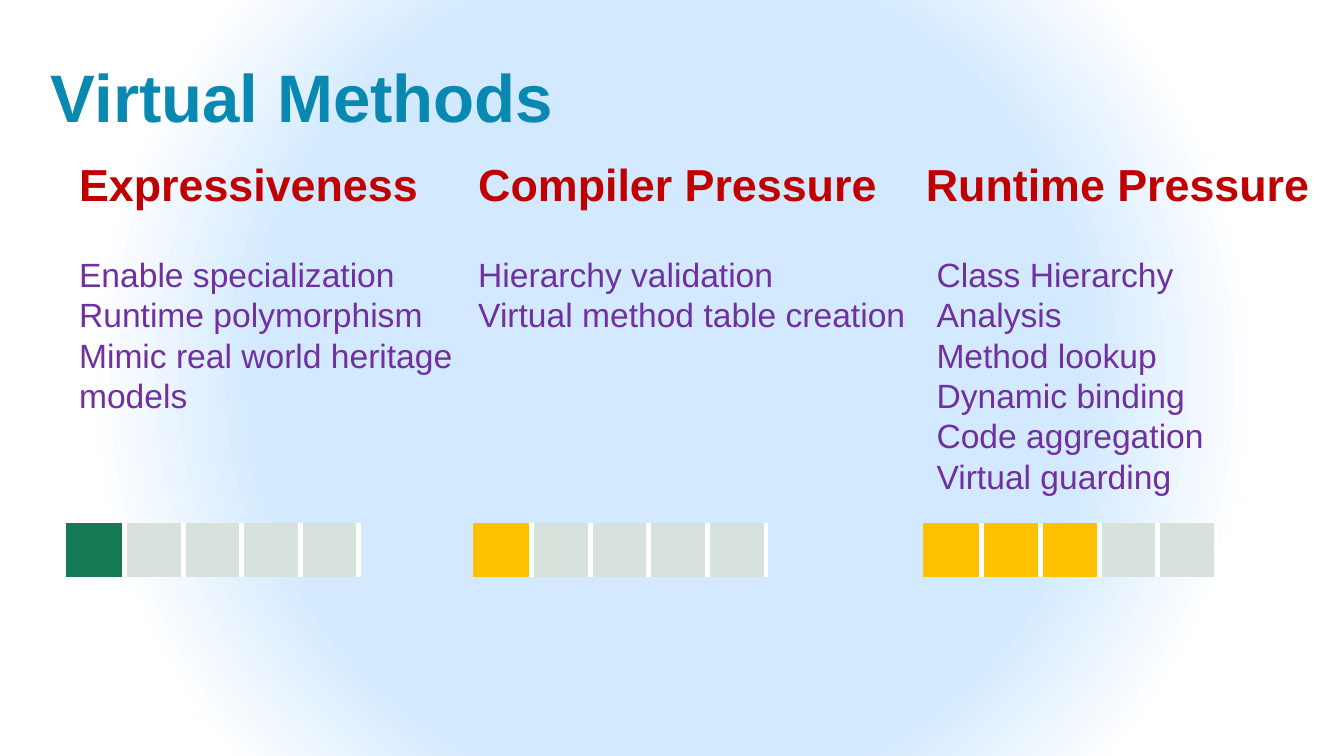
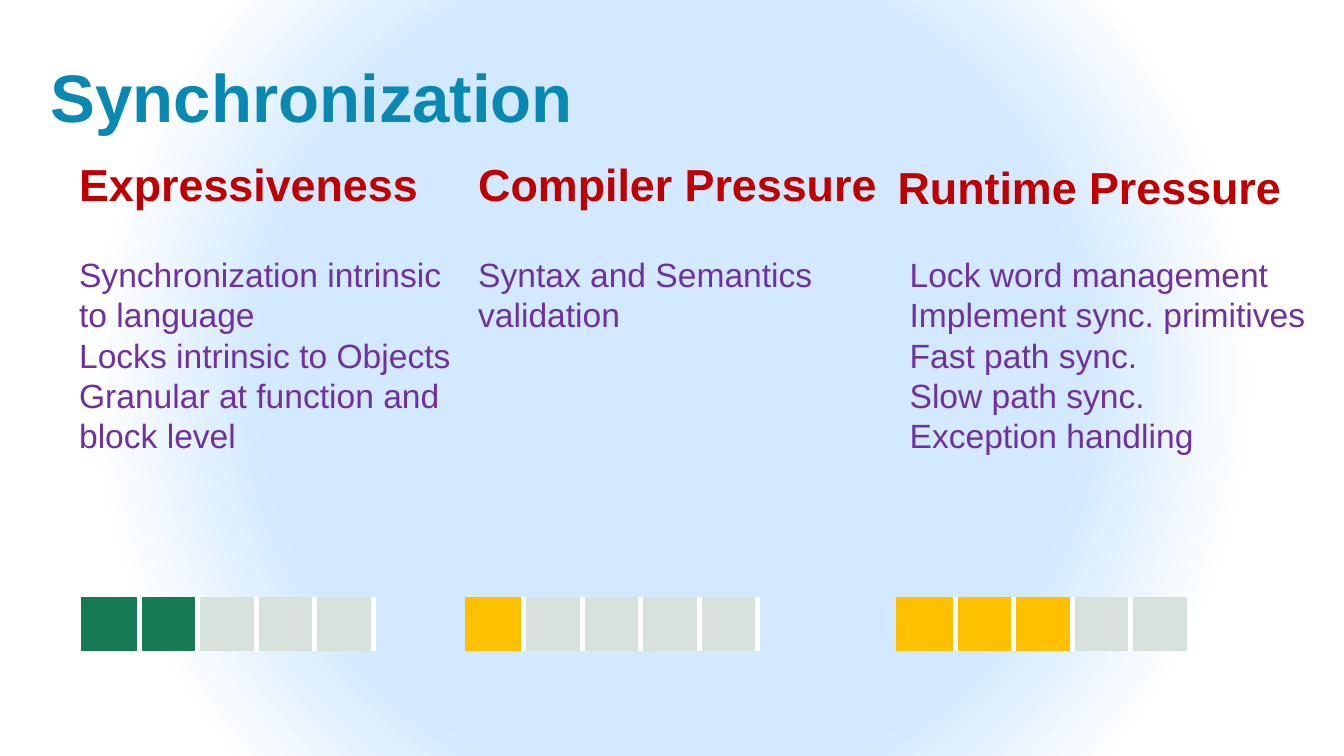
from dataclasses import dataclass

from lxml import etree
from pptx import Presentation
from pptx.dml.color import RGBColor
from pptx.enum.text import MSO_AUTO_SIZE
from pptx.oxml.ns import qn
from pptx.slide import Slide
from pptx.table import _Cell
from pptx.util import Inches, Pt

BLUE = RGBColor(0x09, 0x89, 0xB1)
RED = RGBColor(0xC0, 0x00, 0x00)
PURPLE = RGBColor(0x70, 0x30, 0xA0)
GREEN = RGBColor(0x16, 0x7B, 0x54)
AMBER = RGBColor(0xFF, 0xC0, 0x00)
PALE = RGBColor(0xD7, 0xE2, 0xDC)
SKY = RGBColor(0xD2, 0xE9, 0xFF)
WHITE = RGBColor(0xFF, 0xFF, 0xFF)
GLOW = [(53, SKY)] + [(pos, WHITE) for pos in (76, 80, 84, 94, 96, 100)]
GROW = MSO_AUTO_SIZE.SHAPE_TO_FIT_TEXT
FONT = "Arial"
STEPS = 5


@dataclass(frozen=True)
class Style:
    """Size, colour and weight of a text."""
    size: int
    color: RGBColor
    bold: bool = False


@dataclass(frozen=True)
class Column:
    """One rated aspect: heading, points and score."""
    head: str
    left: float
    width: float
    points: list[str]
    text_left: float
    text_width: float
    text_height: float
    meter_left: float
    score: int
    color: RGBColor = AMBER
    top: float = 1.12


@dataclass(frozen=True)
class Topic:
    """One slide: title, its columns and the height of the meters."""
    title: str
    meter_top: float
    columns: list[Column]


TITLE = Style(36, BLUE, True)
HEAD = Style(24, RED, True)
BODY = Style(18, PURPLE)

TOPICS = [
    Topic("Virtual Methods", 3.89, [
        Column("Expressiveness", 0.49, 2.98,
               ["Enable specialization", "Runtime polymorphism",
                "Mimic real world heritage models"],
               0.49, 3.02, 1.31, 0.49, 1, GREEN),
        Column("Compiler Pressure", 3.46, 3.21,
               ["Hierarchy validation", "Virtual method table creation"],
               3.46, 3.41, 0.71, 3.52, 1),
        Column("Runtime Pressure", 6.79, 3.21,
               ["Class Hierarchy Analysis", "Method lookup",
                "Dynamic binding", "Code aggregation", "Virtual guarding"],
               6.87, 2.49, 1.92, 6.87, 3),
    ]),
    Topic("Synchronization", 4.44, [
        Column("Expressiveness", 0.49, 2.98,
               ["Synchronization intrinsic to language",
                "Locks intrinsic to Objects",
                "Granular at function and block level"],
               0.49, 2.98, 1.92, 0.6, 2, GREEN),
        Column("Compiler Pressure", 3.46, 3.21,
               ["Syntax and Semantics validation"],
               3.46, 2.9, 0.71, 3.46, 1),
        Column("Runtime Pressure", 6.58, 3.21,
               ["Lock word management", "Implement sync. primitives",
                "Fast path sync.", "Slow path sync.", "Exception handling"],
               6.67, 3.16, 1.92, 6.67, 3, top=1.14),
    ]),
]


def add_glow(slide: Slide) -> None:
    """Fill the background with a round glow from the centre."""
    fill = slide.background.fill
    fill.gradient()
    grad = slide._element.find(".//" + qn("a:gradFill"))
    for child in list(grad):
        grad.remove(child)
    stops = etree.SubElement(grad, qn("a:gsLst"))
    for pos, color in GLOW:
        stop = etree.SubElement(stops, qn("a:gs"), pos=str(pos * 1000))
        etree.SubElement(stop, qn("a:srgbClr"), val=str(color))
    shade = etree.SubElement(grad, qn("a:path"), path="circle")
    sides = dict.fromkeys("ltrb", "50000")
    etree.SubElement(shade, qn("a:fillToRect"), **sides)


def add_text(slide: Slide, lines: list[str], left: float, top: float,
             width: float, height: float, style: Style) -> None:
    """Add a text box with one paragraph a line."""
    box = slide.shapes.add_textbox(Inches(left), Inches(top),
                                   Inches(width), Inches(height))
    frame = box.text_frame
    frame.word_wrap = True
    frame.auto_size = GROW
    frame.text = "\n".join(lines)
    for para in frame.paragraphs:
        for run in para.runs:
            run.font.name = FONT
            run.font.size = Pt(style.size)
            run.font.bold = style.bold
            run.font.color.rgb = style.color


def set_edges(cell: _Cell, white: set[str]) -> None:
    """Give the named sides a white line and the others none."""
    props = cell._tc.get_or_add_tcPr()
    for index, side in enumerate("LRTB"):
        line = etree.Element(qn(f"a:ln{side}"))
        if side in white:
            line.set("w", str(Pt(3)))
            fill = etree.SubElement(line, qn("a:solidFill"))
            etree.SubElement(fill, qn("a:srgbClr"), val=str(WHITE))
        else:
            etree.SubElement(line, qn("a:noFill"))
        props.insert(index, line)


def add_meter(slide: Slide, col: Column, top: float) -> None:
    """Add a one-row table whose first cells show the score."""
    frame = slide.shapes.add_table(1, STEPS, Inches(col.meter_left),
                                   Inches(top), Inches(2.18), Inches(0.4))
    table = frame.table
    table.first_row = False
    table.horz_banding = False
    table.rows[0].height = Inches(0.33)
    frame.height = Inches(0.4)
    for step, cell in enumerate(table.iter_cells()):
        cell.fill.solid()
        cell.fill.fore_color.rgb = col.color if step < col.score else PALE
        set_edges(cell, {"L", "R"} if step else {"R"})


def add_topic(deck: Presentation, topic: Topic) -> None:
    """Add one slide for a topic."""
    slide = deck.slides.add_slide(deck.slide_layouts[6])
    add_glow(slide)
    add_text(slide, [topic.title], 0.28, 0.36, 4.17, 0.71, TITLE)
    for col in topic.columns:
        add_text(slide, col.points, col.text_left, 1.84,
                 col.text_width, col.text_height, BODY)
    for col in topic.columns:
        add_text(slide, [col.head], col.left, col.top, col.width, 0.5, HEAD)
    for col in topic.columns:
        add_meter(slide, col, topic.meter_top)


def main() -> None:
    """Build and save the deck."""
    deck = Presentation()
    deck.slide_width = Inches(10)
    deck.slide_height = deck.slide_width * 9 // 16
    for topic in TOPICS:
        add_topic(deck, topic)
    deck.save("out.pptx")


if __name__ == "__main__":
    main()
